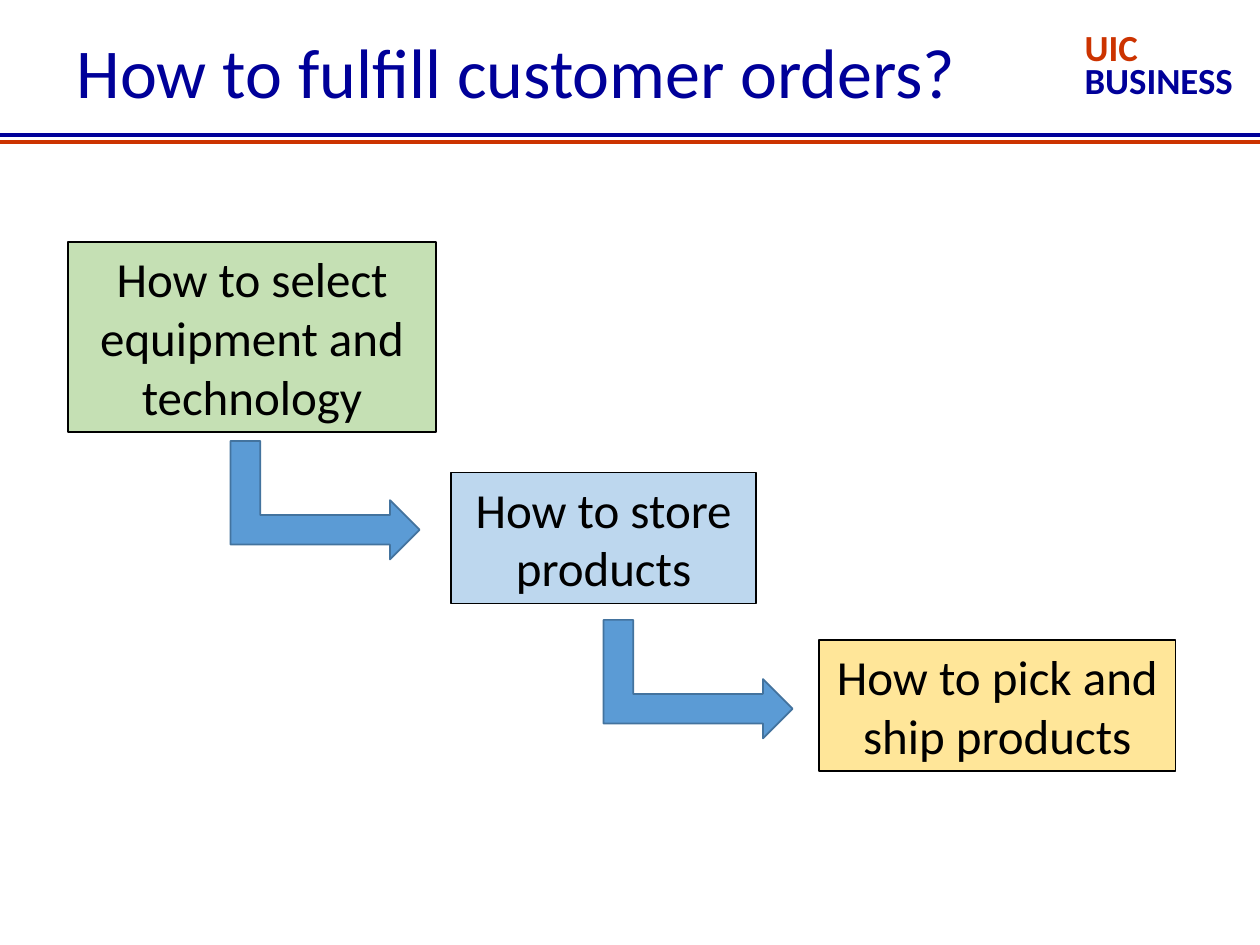
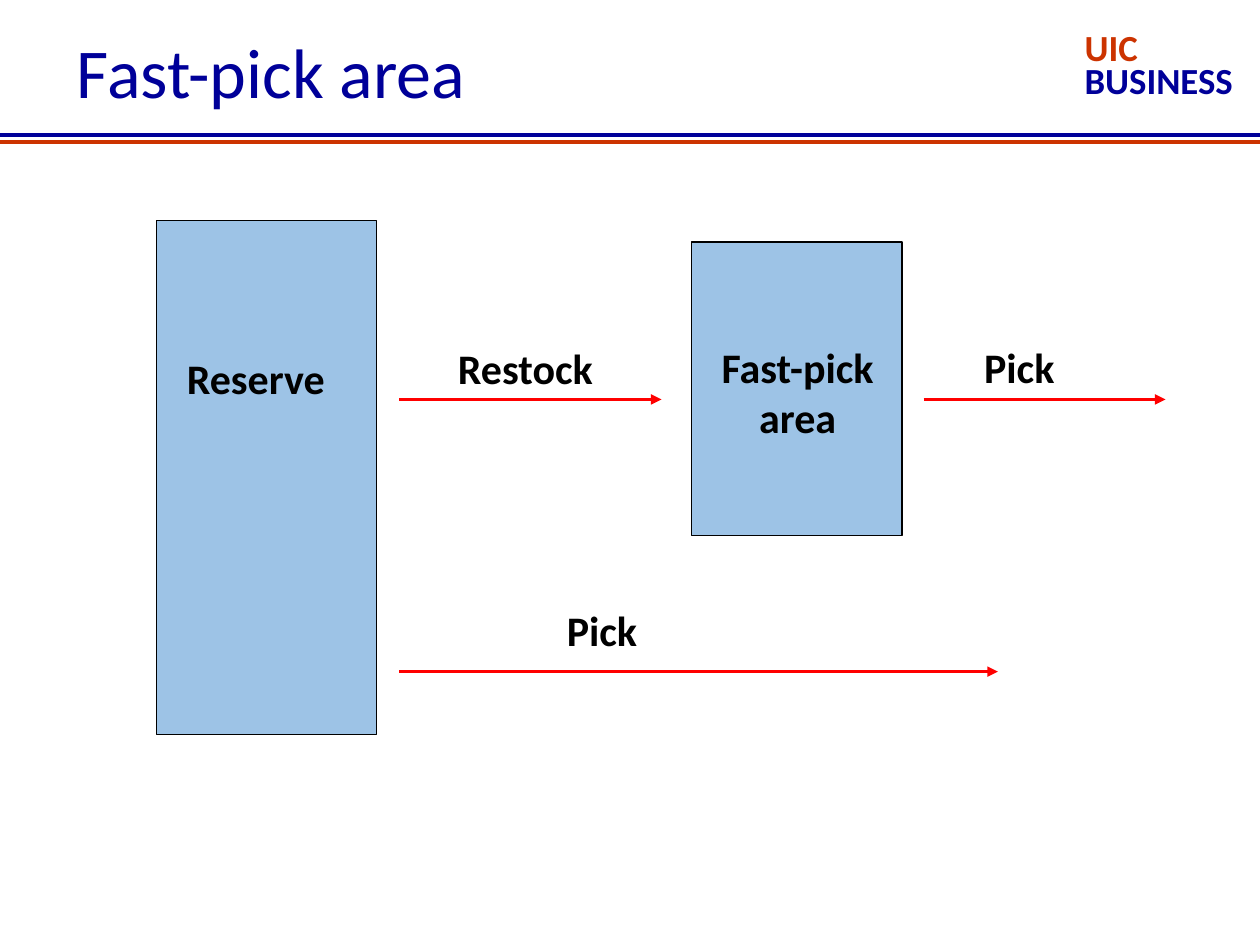
from lxml import etree
from pptx import Presentation
from pptx.dml.color import RGBColor
from pptx.enum.shapes import MSO_CONNECTOR, MSO_SHAPE
from pptx.enum.text import MSO_ANCHOR, MSO_AUTO_SIZE, PP_ALIGN
from pptx.oxml.ns import qn
from pptx.util import Inches, Pt

LEFT, CENTER = PP_ALIGN.LEFT, PP_ALIGN.CENTER
MIDDLE = MSO_ANCHOR.MIDDLE
RECTANGLE, BENT_ARROW = MSO_SHAPE.RECTANGLE, MSO_SHAPE.BENT_UP_ARROW
STRAIGHT = MSO_CONNECTOR.STRAIGHT
NO_AUTOFIT = MSO_AUTO_SIZE.NONE
TITLE_ONLY = 5
FONT = "Calibri"
COLORS = {
    "navy": "000099", "brick": "CC3300", "black": "000000", "red": "FF0000",
    "green": "C5E0B4", "pale blue": "BDD7EE", "yellow": "FFE699",
    "storage": "9DC3E6", "arrow": "5B9BD5", "arrow edge": "43739E",
}

# Content: positions count columns and rows of a 10 x 7.5 grid
HEADER = [("UIC", "brick"), ("BUSINESS", "navy")]
RULES = [(1.07, "navy"), (1.13, "brick")]

ORDER_TITLE = "How to fulfill customer orders?"
STEPS = [  # text, fill, left, top, width, height
    ("How to select equipment and technology", "green", 0.54, 1.92, 2.92, 1.51),
    ("How to store products", "pale blue", 3.58, 3.75, 2.42, 1.04),
    ("How to pick and ship products", "yellow", 6.5, 5.08, 2.83, 1.04),
]
STEP_ARROWS = [(2.11, 3.22), (5.07, 4.64)]
STEP_ARROW_SIZE = (0.94, 1.5)

AREA_TITLE = "Fast-pick area"
STORAGE = [(1.24, 1.75, 1.75, 4.08), (5.49, 1.92, 1.67, 2.33)]
LABELS = [  # text, alignment, left, top, width, height
    ("Reserve", CENTER, 1.24, 2.75, 1.58, 0.5),
    ("Fast-pick area", CENTER, 5.54, 2.66, 1.58, 0.91),
    ("Restock", CENTER, 3.43, 2.67, 1.48, 0.5),
    ("Pick", CENTER, 7.1, 2.66, 1.98, 0.5),
    ("Pick", LEFT, 4.4, 4.75, 2.27, 0.5),
]
FLOWS = [  # start, end, row, line width
    (3.17, 5.25, 3.17, 2),
    (7.33, 9.25, 3.17, 2),
    (3.17, 7.92, 5.33, 1.5),
]

prs = Presentation()
prs.slide_width, prs.slide_height = Inches(10), Inches(7.5)
COL, ROW = prs.slide_width / 10, prs.slide_height / 7.5


def grid(left, top, width, height):
    return int(left * COL), int(top * ROW), int(width * COL), int(height * ROW)


def rgb(color):
    return RGBColor.from_string(COLORS[color])


def style(paragraph, size, color="black", bold=False, align=LEFT):
    paragraph.alignment = align
    font = paragraph.font
    font.name, font.size, font.bold = FONT, Pt(size), bold
    font.color.rgb = rgb(color)


def add_block(slide, preset, area, fill, edge="black", edge_width=0.75):
    block = slide.shapes.add_shape(preset, *grid(*area))
    block.shadow.inherit = False
    block.fill.solid()
    block.fill.fore_color.rgb = rgb(fill)
    block.line.color.rgb = rgb(edge)
    block.line.width = Pt(edge_width)
    return block


def add_text(slide, area):
    frame = slide.shapes.add_textbox(*grid(*area)).text_frame
    frame.word_wrap = True
    return frame


def add_line(slide, start, end, row, color, width, head=False):
    x1, y, x2, _ = grid(start, row, end, 0)
    line = slide.shapes.add_connector(STRAIGHT, x1, y, x2, y)
    line.line.color.rgb = rgb(color)
    line.line.width = Pt(width)
    if head:
        etree.SubElement(line.line._get_or_add_ln(), qn("a:tailEnd"), type="triangle")
    etree.SubElement(line._element.spPr, qn("a:effectLst"))


def add_slide(heading):
    """Shared frame: header text, double rule and title."""
    slide = prs.slides.add_slide(prs.slide_layouts[TITLE_ONLY])
    header = add_text(slide, (8.51, 0.24, 1.96, 0.63))
    header.text = "\n".join(text for text, _ in HEADER)
    for paragraph, (_, color) in zip(header.paragraphs, HEADER):
        style(paragraph, 21, color, bold=True)
        paragraph.line_spacing = Pt(18.8)
    for row, color in RULES:
        add_line(slide, 0, 10, row, color, 2.25)

    title = slide.shapes.title
    title.left, title.top, title.width, title.height = grid(0.51, 0.13, 8.98, 0.94)
    frame = title.text_frame
    frame.text = heading
    frame.vertical_anchor = MIDDLE
    frame.auto_size = NO_AUTOFIT
    style(frame.paragraphs[0], 40, "navy")
    frame.paragraphs[0].line_spacing = 0.9
    return slide


# Slide 1: three steps linked by bent arrows
orders = add_slide(ORDER_TITLE)
for text, fill, *area in STEPS:
    step = add_block(orders, RECTANGLE, area, fill)
    step.text_frame.text = text
    style(step.text_frame.paragraphs[0], 28, align=CENTER)
for corner in STEP_ARROWS:
    turn = add_block(orders, BENT_ARROW, corner + STEP_ARROW_SIZE, "arrow", "arrow edge", 1)
    turn.rotation = 90

# Slide 2: flows between the storage areas
fast_pick = add_slide(AREA_TITLE)
for area in STORAGE:
    add_block(fast_pick, RECTANGLE, area, "storage")
for text, align, *area in LABELS:
    label = add_text(fast_pick, area)
    label.text = text
    style(label.paragraphs[0], 24, bold=True, align=align)
for start, end, row, width in FLOWS:
    add_line(fast_pick, start, end, row, "red", width, head=True)

prs.save("out.pptx")
